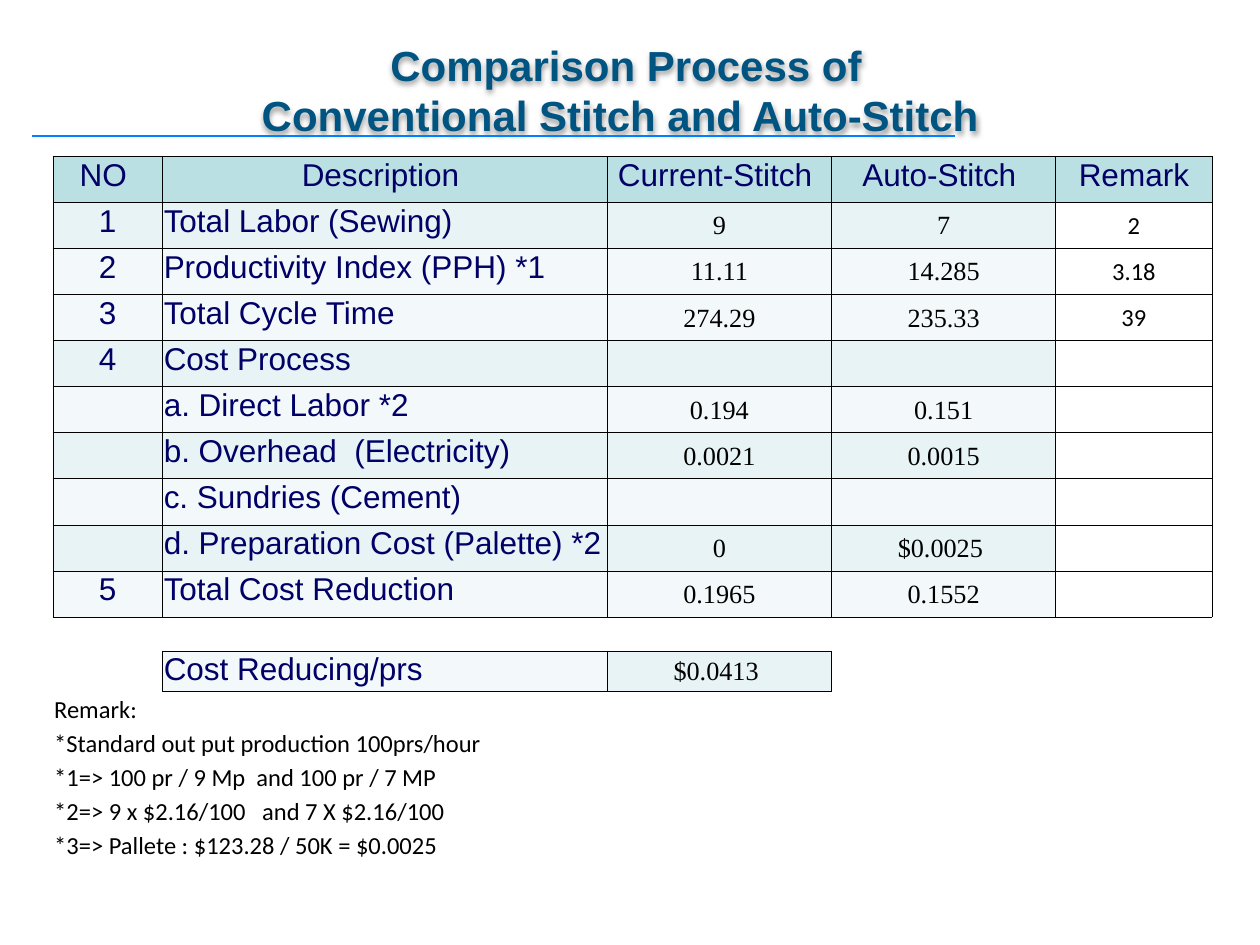
import pptx
import pptx.dml.color
import pptx.enum.shapes
import pptx.enum.text
import pptx.oxml
import pptx.oxml.ns
import pptx.util
from pptx.util import Inches

COLORS = {
    "title": "005482", "rule": "0080FF", "label": "000066", "black": "000000",
    "header": "BBE0E3", "tint": "E7F3F4", "pale": "F3F9FA",
    "title_border": "B6DCDF",
}
TITLE = ["Comparison Process of ", "Conventional Stitch and Auto-Stitch  "]
HEADER = ["NO ", "Description ", "Current-Stitch ", "Auto-Stitch ", "Remark"]
# fill, number, description, current, auto, remark
ROWS = [
    ("tint", "1", "Total Labor (Sewing)", "9", "7", "2"),
    ("pale", "2", "Productivity Index (PPH) *1", "11.11", "14.285", "3.18"),
    ("pale", "3", "Total Cycle Time", "274.29", "235.33", "39"),
    ("tint", "4", "Cost Process", "", "", ""),
    ("pale", "", "a. Direct Labor *2", "0.194", "0.151", ""),
    ("tint", "", "b. Overhead  (Electricity)", "0.0021", "0.0015", ""),
    ("pale", "", "c. Sundries (Cement)", "", "", ""),
    ("tint", "", "d. Preparation Cost (Palette) *2", "0", "$0.0025 ", ""),
    ("pale", "5", "Total Cost Reduction", "0.1965", "0.1552", ""),
]
SAVING = [("Cost Reducing/prs", "pale"), ("$0.0413 ", "tint")]
NOTES = [
    "Remark:",
    "*Standard out put production 100prs/hour",
    "*1=> 100 pr / 9 Mp  and 100 pr / 7 MP",
    "*2=> 9 x $2.16/100   and 7 X $2.16/100",
    "*3=> Pallete : $123.28 / 50K = $0.0025",
]
COLUMN_WIDTHS = [0.87, 3.53, 1.78, 1.78, 1.24]
BODY_HEIGHT, GAP_HEIGHT, SAVING_HEIGHT, NOTE_HEIGHT = 3.66, 0.27, 0.32, 0.27
NO_STYLE = "{2D5ABB26-0587-4C30-8999-92F81FD0307C}"

ALIGN = pptx.enum.text.PP_ALIGN
ANCHOR = pptx.enum.text.MSO_ANCHOR
LABEL = dict(size=18, font="Arial", color="label", align=ALIGN.CENTER)
DESCRIPTION = {**LABEL, "align": ALIGN.LEFT}
VALUE = dict(size=15, font="Times New Roman", align=ALIGN.CENTER, anchor=ANCHOR.MIDDLE)
REMARK = {**VALUE, "size": 14, "font": "Calibri"}
NOTE = {**REMARK, "align": ALIGN.LEFT, "anchor": ANCHOR.BOTTOM}
COLUMN_FORMATS = [LABEL, DESCRIPTION, VALUE, VALUE, REMARK]


def rgb(name):
    return pptx.dml.color.RGBColor.from_string(COLORS[name])


def xml(markup):
    """Parse one element, given with the prefix a."""
    head, tail = markup.split(" ", 1)
    return pptx.oxml.parse_xml(f"{head} {pptx.oxml.ns.nsdecls('a')} {tail}")


def write(paragraph, text, size=18, font="Arial", color="black", bold=False, align=ALIGN.LEFT):
    paragraph.alignment = align
    run = paragraph.add_run()
    run.text = text
    run.font.size = pptx.util.Pt(size)
    run.font.name = font
    run.font.bold = bold
    run.font.color.rgb = rgb(color)


def fill_cell(cell, text, fill=None, border=False, anchor=ANCHOR.TOP, **text_format):
    cell.vertical_anchor = anchor
    if text:
        write(cell.text_frame.paragraphs[0], text, **text_format)
    if border:
        for side in ("lnL", "lnR", "lnT", "lnB"):
            cell._tc.get_or_add_tcPr().append(xml(
                f'<a:{side} w="6350"><a:solidFill><a:srgbClr val="{COLORS["black"]}"/>'
                f'</a:solidFill></a:{side}>'))
    if fill:
        cell.fill.solid()
        cell.fill.fore_color.rgb = rgb(fill)


def add_rule(slide):
    rule = slide.shapes.add_connector(
        pptx.enum.shapes.MSO_CONNECTOR.STRAIGHT,
        Inches(0.25), Inches(1.08), Inches(7.58), Inches(1.08))
    rule.line.color.rgb = rgb("rule")
    rule.line.width = pptx.util.Pt(1.5)
    rule._element.spPr.append(xml("<a:effectLst />"))


def format_title(title):
    title.left, title.top = Inches(1.95), Inches(0.26)
    title.width, title.height = Inches(6.13), Inches(0.91)
    title.fill.background()
    title.line.width = pptx.util.Pt(0.75)
    title.line.color.rgb = rgb("title_border")
    color = title.line._ln.find(".//" + pptx.oxml.ns.qn("a:srgbClr"))
    color.append(xml('<a:alpha val="0"/>'))
    title._element.spPr.append(xml(
        '<a:effectLst ><a:outerShdw blurRad="39370" dist="20320" dir="5400000" rotWithShape="0">'
        f'<a:srgbClr val="{COLORS["black"]}"><a:alpha val="38000"/></a:srgbClr>'
        '</a:outerShdw></a:effectLst>'))
    frame = title.text_frame
    frame.word_wrap = False
    frame.auto_size = pptx.enum.text.MSO_AUTO_SIZE.SHAPE_TO_FIT_TEXT
    frame.vertical_anchor = ANCHOR.TOP
    for index, text in enumerate(TITLE):
        paragraph = frame.add_paragraph() if index else frame.paragraphs[0]
        paragraph.line_spacing = 1.0
        paragraph.space_before = pptx.util.Pt(0)
        write(paragraph, text, size=24, color="title", bold=True, align=ALIGN.CENTER)


def add_comparison_table(slide):
    body_count = len(ROWS) + 1
    heights = [BODY_HEIGHT / body_count] * body_count
    heights += [GAP_HEIGHT, SAVING_HEIGHT] + [NOTE_HEIGHT] * len(NOTES)
    frame = slide.shapes.add_table(
        len(heights), len(COLUMN_WIDTHS), Inches(0.42), Inches(1.24),
        Inches(sum(COLUMN_WIDTHS)), Inches(sum(heights)))
    table = frame.table
    table.first_row = table.horz_banding = False
    table._tbl.tblPr.find(pptx.oxml.ns.qn("a:tableStyleId")).text = NO_STYLE
    for column, width in zip(table.columns, COLUMN_WIDTHS):
        column.width = Inches(width)
    for row, height in zip(table.rows, heights):
        row.height = Inches(height)
    for cell in table.iter_cells():
        cell.margin_left = cell.margin_right = cell.margin_top = Inches(0.01)
        cell.margin_bottom = 0
        cell.text_frame.paragraphs[0]._p.append(xml('<a:endParaRPr sz="1400"/>'))

    for column, text in enumerate(HEADER):
        fill_cell(table.cell(0, column), text, fill="header", border=True, **LABEL)
    for row, (fill, *texts) in enumerate(ROWS, 1):
        for column, (text, text_format) in enumerate(zip(texts, COLUMN_FORMATS)):
            cell_fill = None if text_format is REMARK else fill
            fill_cell(table.cell(row, column), text, fill=cell_fill, border=True, **text_format)

    saving_row = body_count + 1
    for column, (text, fill) in enumerate(SAVING, 1):
        fill_cell(table.cell(saving_row, column), text, fill=fill, border=True,
                  **COLUMN_FORMATS[column])
    for row, text in enumerate(NOTES, saving_row + 1):
        cell = table.cell(row, 0)
        if row > saving_row + 1:
            cell.merge(table.cell(row, 1))
        fill_cell(cell, text, **NOTE)


def main():
    presentation = pptx.Presentation()
    presentation.slide_width, presentation.slide_height = Inches(10), Inches(7.5)
    slide = presentation.slides.add_slide(presentation.slide_layouts[5])
    format_title(slide.shapes.title)
    add_rule(slide)
    add_comparison_table(slide)
    presentation.save("out.pptx")


if __name__ == "__main__":
    main()
